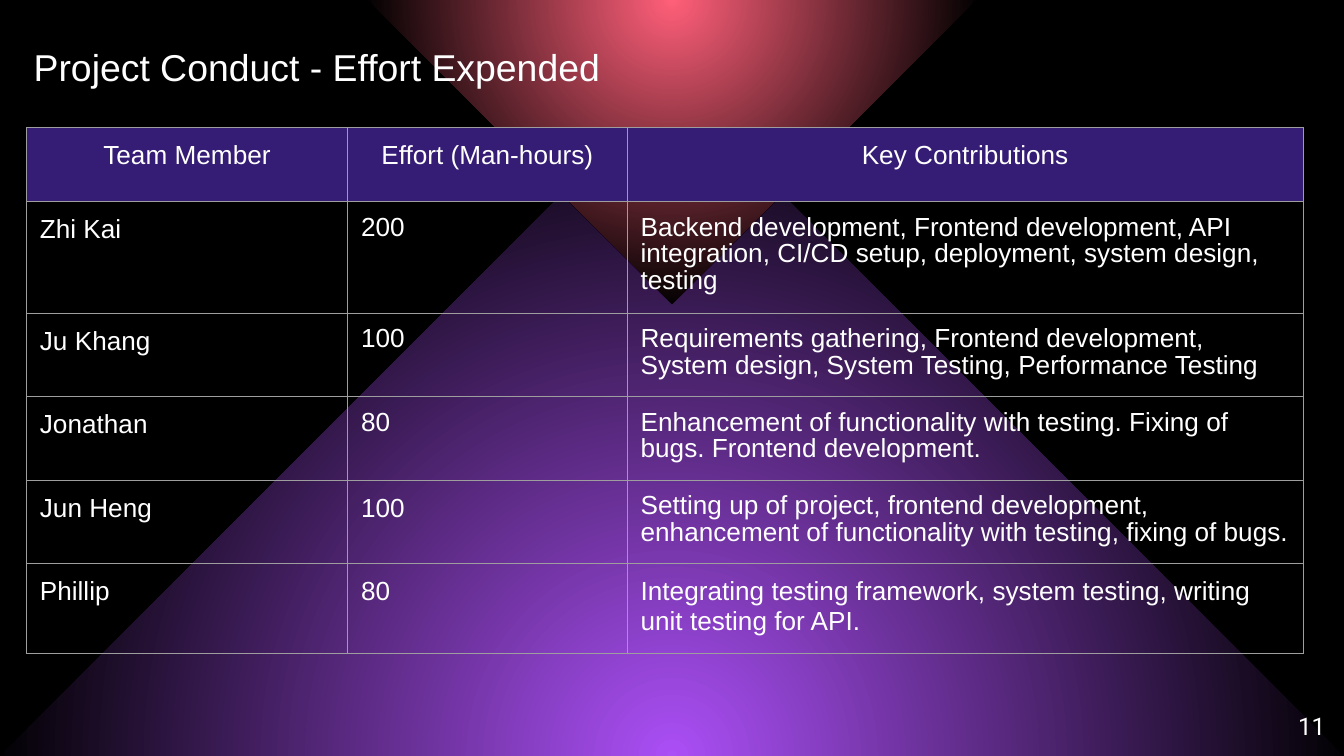
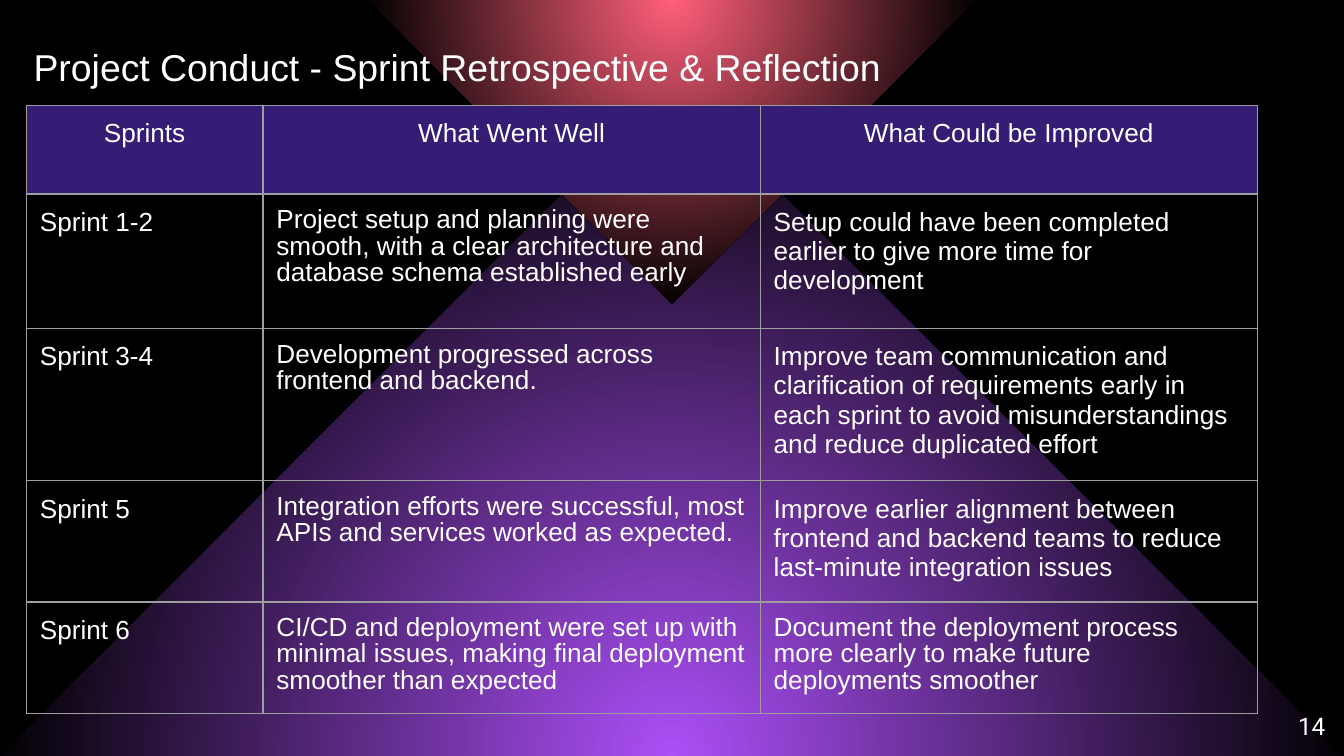
from dataclasses import dataclass
from math import sqrt

from lxml.etree import SubElement
from pptx import Presentation
from pptx.dml.color import RGBColor
from pptx.enum.shapes import MSO_SHAPE as Preset
from pptx.enum.text import MSO_ANCHOR as Anchor, PP_ALIGN as Align
from pptx.oxml import parse_xml
from pptx.oxml.ns import nsdecls, qn
from pptx.slide import Slide
from pptx.table import _Cell as Cell
from pptx.util import Inches, Pt

WIDTH = Inches(10)
HEIGHT = WIDTH * 9 // 16
MODULE = WIDTH / 100  # square grid module: a hundred columns across the slide
BOTTOM = HEIGHT / MODULE
TABLE_LEFT, TABLE_FRAME = 1.97, 32.81


@dataclass(frozen=True)
class Theme:
    background: str = "000000"
    text: str = "FFFFFF"
    header: str = "351C75"
    border: str = "9E9E9E"
    purple: str = "AB4FF6"
    red: str = "FF5F79"
    font: str = "Arial"
    number_font: str = "Roboto"
    title_size: float = 20
    table_size: float = 14
    number_size: float = 13
    border_width: float = 0.75
    tight_spacing: float = 0.9


@dataclass(frozen=True)
class Glow:
    """A right triangle whose glowing centre lies on an edge of the slide."""
    color: str
    centre_row: float
    leg: float
    rotation: float


@dataclass(frozen=True)
class Row:
    """A body row; tight names the columns with reduced line spacing."""
    height: float
    texts: tuple[str, ...]
    tight: tuple[int, ...] = (1,)


@dataclass(frozen=True)
class Page:
    title: str
    title_width: float
    number: int
    table_top: float
    columns: tuple[float, ...]
    header_height: float
    headings: tuple[str, ...]
    rows: tuple[Row, ...]


THEME = Theme()
GLOWS = (
    Glow(THEME.purple, BOTTOM, 100 / sqrt(2), 135),
    Glow(THEME.red, 0, 32, 315),
)
PAGES = (
    Page(
        "Project Conduct - Effort Expended", 50.9, 11, 9.5,
        (23.9, 20.8, 50.3), 5.5,
        ("Team Member", "Effort (Man-hours)", "Key Contributions"),
        (
            Row(5.5, ("Zhi Kai", "200",
                      "Backend development, Frontend development, API integration, "
                      "CI/CD setup, deployment, system design, testing"), (1, 2)),
            Row(5.5, ("Ju Khang", "100",
                      "Requirements gathering, Frontend development, System design, "
                      "System Testing, Performance Testing"), (1, 2)),
            Row(5.5, ("Jonathan", "80",
                      "Enhancement of functionality with testing. Fixing of bugs. "
                      "Frontend development."), (1, 2)),
            Row(3.8, ("Jun Heng", "100",
                      "Setting up of project, frontend development, enhancement of "
                      "functionality with testing, fixing of bugs."), (2,)),
            Row(5.5, ("Phillip", "80",
                      "Integrating testing framework, system testing, writing unit "
                      "testing for API."), ()),
        ),
    ),
    Page(
        "Project Conduct - Sprint Retrospective & Reflection", 73.3, 14, 7.84,
        (17.6, 37, 37), 6.6,
        ("Sprints", "What Went Well", "What Could be Improved"),
        (
            Row(10, ("Sprint 1-2",
                     "Project setup and planning were smooth, with a clear "
                     "architecture and database schema established early",
                     "Setup could have been completed earlier to give more time for "
                     "development")),
            Row(7.5, ("Sprint 3-4",
                      "Development progressed across frontend and backend.",
                      "Improve team communication and clarification of requirements "
                      "early in each sprint to avoid misunderstandings and reduce "
                      "duplicated effort")),
            Row(7.5, ("Sprint 5",
                      "Integration efforts were successful, most APIs and services "
                      "worked as expected.",
                      "Improve earlier alignment between frontend and backend teams "
                      "to reduce last-minute integration issues")),
            Row(5.2, ("Sprint 6",
                      "CI/CD and deployment were set up with minimal issues, making "
                      "final deployment smoother than expected",
                      "Document the deployment process more clearly to make future "
                      "deployments smoother"), (1, 2)),
        ),
    ),
)


def grid(*modules: float) -> list[int]:
    return [round(count * MODULE) for count in modules]


def write(holder, text: str, size: float, font: str = THEME.font,
          align: Align = Align.LEFT, spacing: float | None = None,
          inset: float = 1) -> None:
    """Fill a text frame or a table cell with one paragraph."""
    holder.margin_left = holder.margin_right = grid(inset)[0]
    holder.margin_top = holder.margin_bottom = grid(inset)[0]
    frame = holder.text_frame if isinstance(holder, Cell) else holder
    frame.word_wrap = True
    para = frame.paragraphs[0]
    para.text = text
    para.alignment = align
    para.line_spacing = spacing
    para.font.size = Pt(size)
    para.font.name = font
    para.font.color.rgb = RGBColor.from_string(THEME.text)


def draw_glow(slide: Slide, glow: Glow) -> None:
    half = glow.leg / 2
    triangle = slide.shapes.add_shape(
        Preset.RIGHT_TRIANGLE,
        *grid(50 - half, glow.centre_row - half, glow.leg, glow.leg))
    triangle.rotation = glow.rotation
    triangle.shadow.inherit = False
    triangle.line.fill.background()
    triangle.fill.background()
    stops = "".join(
        f'<a:gs pos="{share * 1000}"><a:srgbClr val="{color}"/></a:gs>'
        for share, color in ((0, glow.color), (72, THEME.background),
                             (100, THEME.background)))
    gradient = parse_xml(
        f'<a:gradFill {nsdecls("a")}><a:gsLst>{stops}</a:gsLst><a:path path="circle">'
        '<a:fillToRect l="50000" t="50000" r="50000" b="50000"/></a:path></a:gradFill>')
    properties = triangle._element.spPr
    properties.replace(properties.find(qn("a:noFill")), gradient)


def draw_borders(cell: Cell) -> None:
    properties = cell._tc.get_or_add_tcPr()
    for position, side in enumerate(("a:lnL", "a:lnR", "a:lnT", "a:lnB")):
        line = properties.makeelement(qn(side), {"w": str(Pt(THEME.border_width))})
        fill = SubElement(line, qn("a:solidFill"))
        SubElement(fill, qn("a:srgbClr"), val=THEME.border)
        properties.insert(position, line)


def draw_table(slide: Slide, page: Page) -> None:
    """Draw the table in a square frame that its columns and rows outgrow."""
    heights = (page.header_height, *(row.height for row in page.rows))
    holder = slide.shapes.add_table(
        len(heights), len(page.columns),
        *grid(TABLE_LEFT, page.table_top, TABLE_FRAME, TABLE_FRAME))
    table = holder.table
    table.first_row = table.horz_banding = False
    for column, width in zip(table.columns, grid(*page.columns)):
        column.width = width
    for table_row, height in zip(table.rows, grid(*heights)):
        table_row.height = height
    holder.width, holder.height = grid(TABLE_FRAME, TABLE_FRAME)
    for index, heading in enumerate(page.headings):
        cell = table.cell(0, index)
        write(cell, heading, THEME.table_size, align=Align.CENTER)
        cell.fill.solid()
        cell.fill.fore_color.rgb = RGBColor.from_string(THEME.header)
        draw_borders(cell)
    for number, row in enumerate(page.rows, start=1):
        for index, text in enumerate(row.texts):
            cell = table.cell(number, index)
            spacing = THEME.tight_spacing if index in row.tight else None
            write(cell, text, THEME.table_size, spacing=spacing)
            cell.fill.background()
            draw_borders(cell)


def draw_page(slide: Slide, page: Page) -> None:
    slide.background.fill.solid()
    slide.background.fill.fore_color.rgb = RGBColor.from_string(THEME.background)
    for glow in GLOWS:
        draw_glow(slide, glow)
    title = slide.shapes.add_textbox(*grid(2.5, 3.34, page.title_width, 3.3)).text_frame
    title.vertical_anchor = Anchor.MIDDLE
    write(title, page.title, THEME.title_size, inset=0)
    number = slide.shapes.add_textbox(*grid(93.6, BOTTOM - 4.3, 6, 4.3)).text_frame
    write(number, str(page.number), THEME.number_size, THEME.number_font, Align.RIGHT)
    draw_table(slide, page)


def main() -> None:
    deck = Presentation()
    deck.slide_width, deck.slide_height = WIDTH, HEIGHT
    blank = deck.slide_layouts[6]
    for page in PAGES:
        draw_page(deck.slides.add_slide(blank), page)
    deck.save("out.pptx")


if __name__ == "__main__":
    main()
